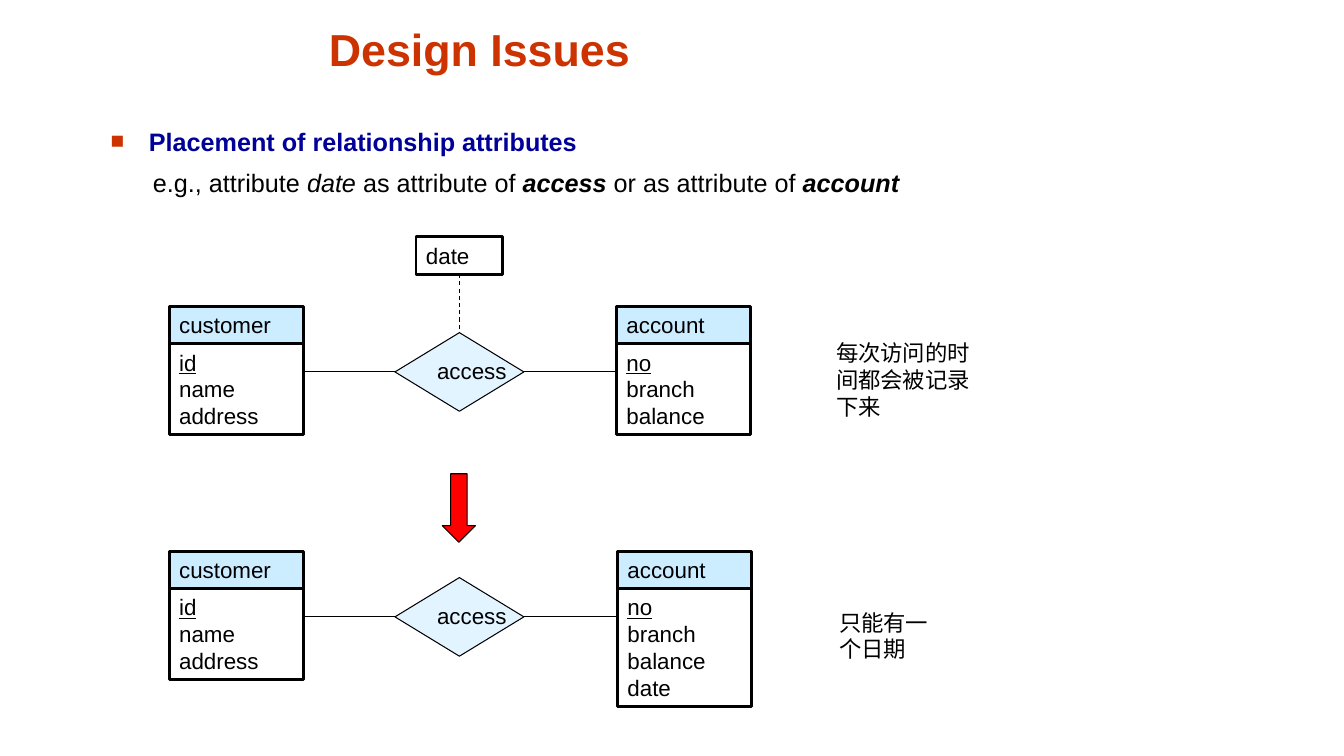
from lxml import etree
from pptx import Presentation
from pptx import util as u
from pptx.dml.color import RGBColor
from pptx.enum import dml, shapes, text
from pptx.oxml.ns import qn

PX = 9144  # one px is a hundredth of an inch
BLACK = RGBColor(0x00, 0x00, 0x00)
RUST = RGBColor(0xCC, 0x33, 0x00)
NAVY = RGBColor(0x00, 0x00, 0x99)
SKY = RGBColor(0xCC, 0xEC, 0xFF)
PALE = RGBColor(0xE2, 0xF4, 0xFF)
RED = RGBColor(0xFF, 0x00, 0x00)

ENTITY_WIDTH, HEADER_HEIGHT, LINE_HEIGHT = 133, 37, 27
RECTANGLE = shapes.MSO_SHAPE.RECTANGLE


class Canvas:
    """Holds the text style and the slide being drawn."""

    def __init__(self, slide, font="Arial", size=16):
        self.slide, self.font, self.size = slide, font, size

    def run(self, paragraph, words, size=None, color=BLACK, bold=False,
            italic=False, underline=False):
        run = paragraph.add_run()
        run.text = words
        font = run.font
        font.name, font.size = self.font, u.Pt(size or self.size)
        font.bold, font.italic, font.underline = bold, italic, underline
        font.color.rgb = color

    def lines(self, shape, lines, key=False):
        """One paragraph a line; the first is underlined when it is a key."""
        frame = shape.text_frame
        frame.vertical_anchor = text.MSO_ANCHOR.TOP
        for index, words in enumerate(lines):
            paragraph = frame.add_paragraph() if index else frame.paragraphs[0]
            paragraph.alignment = text.PP_ALIGN.LEFT
            self.run(paragraph, words, underline=key and index == 0)

    def textbox(self, left, top, width, height):
        box = self.slide.shapes.add_textbox(left * PX, top * PX, width * PX, height * PX)
        box.text_frame.word_wrap = True
        return box

    def shape(self, kind, left, top, width, height, fill=None, weight=0.75):
        shape = self.slide.shapes.add_shape(
            kind, left * PX, top * PX, width * PX, height * PX)
        shape.shadow.inherit = False
        if fill is None:
            shape.fill.background()
        else:
            shape.fill.solid()
            shape.fill.fore_color.rgb = fill
        shape.line.color.rgb = BLACK
        shape.line.width = u.Pt(weight)
        return shape

    def box(self, left, top, width, height, lines, fill=None, key=False):
        box = self.shape(RECTANGLE, left, top, width, height, fill, weight=2)
        box.text_frame.word_wrap = True
        self.lines(box, lines, key)
        return box

    def entity(self, left, top, name, attributes):
        self.box(left, top, ENTITY_WIDTH, HEADER_HEIGHT, [name], SKY)
        self.box(left, top + HEADER_HEIGHT, ENTITY_WIDTH,
                 LINE_HEIGHT * len(attributes) + 9, attributes, key=True)

    def relationship(self, left, top, name):
        diamond = self.shape(shapes.MSO_SHAPE.DIAMOND, left, top, 128, 78, PALE)
        diamond.text_frame.word_wrap = False
        self.lines(diamond, [name])
        return diamond

    def line(self, x1, y1, x2, y2, dashed=False):
        line = self.slide.shapes.add_connector(
            shapes.MSO_CONNECTOR.STRAIGHT, x1 * PX, y1 * PX, x2 * PX, y2 * PX)
        line.line.color.rgb = BLACK
        line.line.width = u.Pt(0.75)
        if dashed:
            line.line.dash_style = dml.MSO_LINE.DASH
        etree.SubElement(line._element.spPr, qn("a:effectLst"))
        return line

    def note(self, left, top, width, height, words):
        self.lines(self.textbox(left, top, width, height), [words])

    def indent(self, paragraph, left, first):
        properties = paragraph._p.get_or_add_pPr()
        properties.set("marL", str(left * PX))
        properties.set("indent", str(first * PX))
        return properties

    def bullet(self, paragraph, symbol, color, percent):
        properties = self.indent(paragraph, 38, -38)
        bullet_color = etree.SubElement(properties, qn("a:buClr"))
        etree.SubElement(bullet_color, qn("a:srgbClr"), val=str(color))
        etree.SubElement(properties, qn("a:buSzPct"), val=str(percent * 1000))
        etree.SubElement(properties, qn("a:buFont"), typeface=self.font)
        etree.SubElement(properties, qn("a:buChar"), char=symbol)


def draw_model(canvas, top, account_left, account_attributes):
    """Customer, access and account in a row, joined by lines."""
    canvas.entity(168, top, "customer", ["id", "name", "address"])
    canvas.entity(account_left, top, "account", account_attributes)
    access = canvas.relationship(392, top + 26, "access")
    middle = top + 65
    canvas.line(168 + ENTITY_WIDTH, middle, 392, middle).end_connect(access, 1)
    canvas.line(520, middle, account_left, middle).begin_connect(access, 3)
    return access


def main():
    presentation = Presentation()
    presentation.slide_width, presentation.slide_height = 1334 * PX, 750 * PX
    slide = presentation.slides.add_slide(presentation.slide_layouts[6])
    canvas = Canvas(slide)

    # Title
    title = canvas.textbox(112, 13, 728, 67).text_frame
    title.vertical_anchor = text.MSO_ANCHOR.BOTTOM
    title.paragraphs[0].alignment = text.PP_ALIGN.CENTER
    canvas.run(title.paragraphs[0], "Design Issues", size=32, color=RUST, bold=True)

    # Bullet and its example
    body = canvas.textbox(100, 120, 898, 103).text_frame
    heading = body.paragraphs[0]
    canvas.bullet(heading, "■", RUST, 90)
    canvas.run(heading, "Placement of relationship attributes",
               size=18, color=NAVY, bold=True)
    example = body.add_paragraph()
    canvas.indent(example, 42, 0)
    example.space_before = u.Pt(7.9)
    for words, bold, italic in [
        ("e.g., attribute ", False, False),
        ("date ", False, True),
        ("as attribute of ", False, False),
        ("access", True, True),
        (" or as attribute of ", False, False),
        ("account", True, True),
    ]:
        canvas.run(example, words, size=18, bold=bold, italic=italic)

    # Date on the relationship
    account = ["no", "branch", "balance"]
    access = draw_model(canvas, 304, 612, account)
    date = canvas.box(413, 235, 86, 37, ["date"])
    link = canvas.line(456, 272, 456, 330, dashed=True)
    link.begin_connect(date, 2)
    link.end_connect(access, 0)
    canvas.note(820, 332, 159, 90, "每次访问的时间都会被记录下来")

    # Change from the first model to the second
    canvas.shape(shapes.MSO_SHAPE.DOWN_ARROW, 439, 470, 33, 68, RED)

    # Date on the account
    draw_model(canvas, 547, 613, account + ["date"])
    canvas.note(823, 599, 120, 64, "只能有一个日期")

    presentation.save("out.pptx")


if __name__ == "__main__":
    main()
